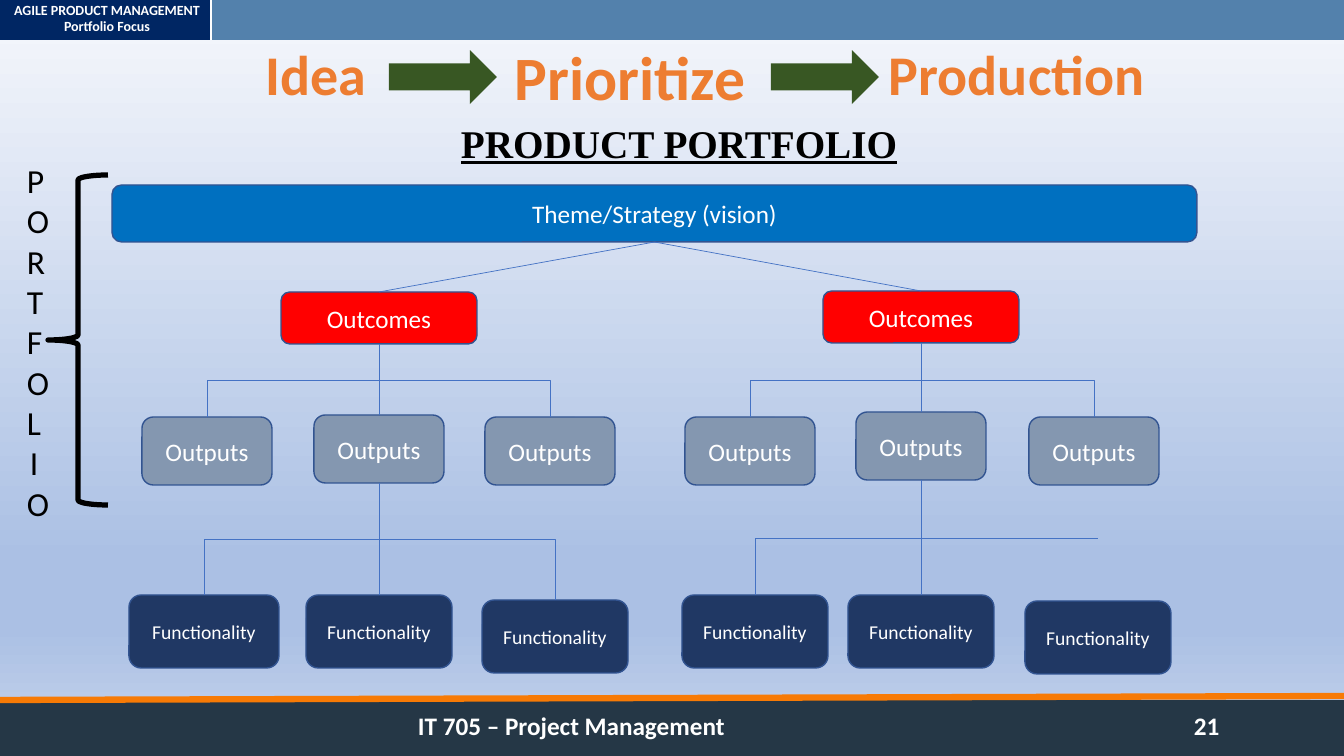
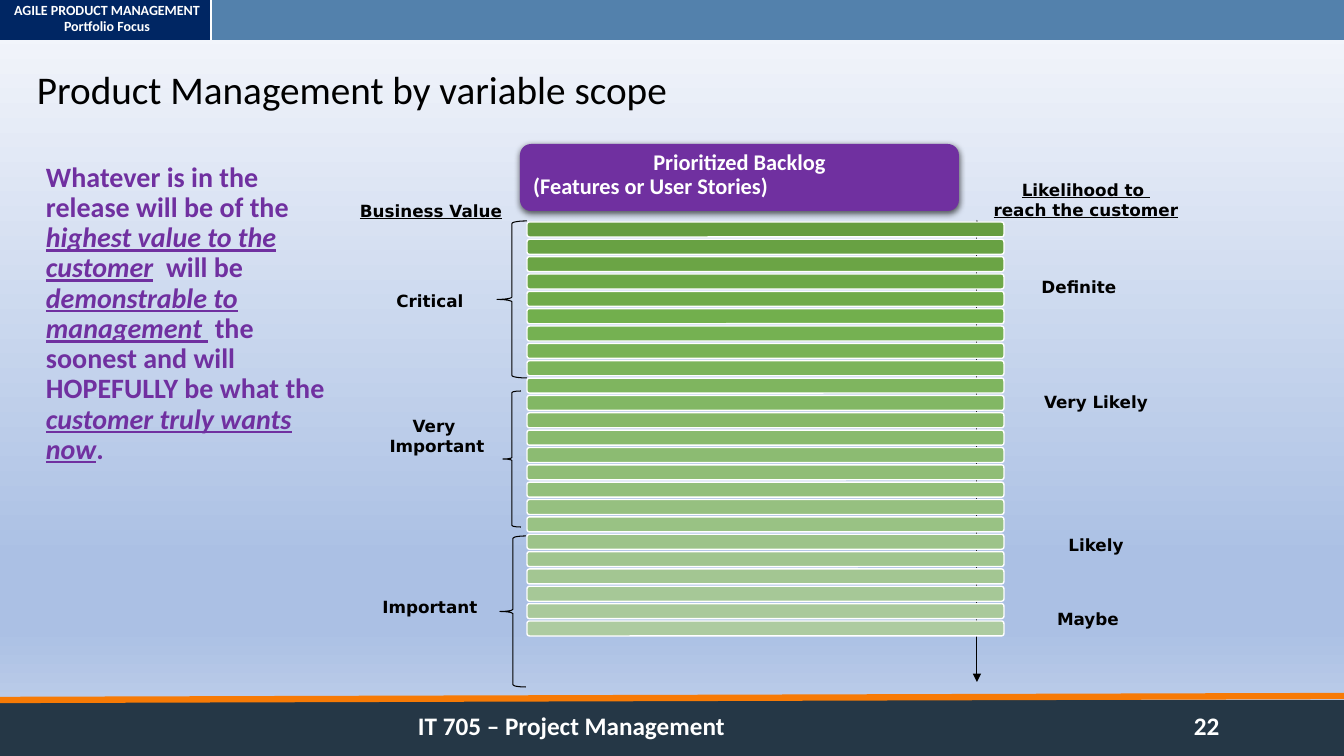
from lxml import etree
from pptx import Presentation
from pptx import util as u
from pptx.dml.color import RGBColor
from pptx.enum import shapes, text
from pptx.oxml import ns

SCALE = 914400 / 100.8
WIDTH, HEIGHT = 1344, 756
SHAPE, ALIGN, ANCHOR = shapes.MSO_SHAPE, text.PP_ALIGN, text.MSO_ANCHOR

WHITE, BLACK, ORANGE, PURPLE = "FFFFFF", "000000", "ED7D31", "7030A0"
ARROW_GREEN, NODE_EDGE, LINK_BLUE = "385723", "325491", "4472C4"
BACKGROUND = [(0, "F6F8FC"), (74, "ABC0E4"), (83, "ABC0E4"), (100, "C7D5ED")]

COURSE = "IT 705 – Project Management"
HEADER = "AGILE PRODUCT MANAGEMENT\nPortfolio Focus"

# Slide 21: label, box, size
STAGES = [
    ("Idea", (256, 11, 195, 133), 40),
    ("Prioritize", (505, 47, 273, 68), 44),
    ("Production", (879, 11, 331, 133), 40),
]
STAGE_ARROWS = [389, 771]
THEME = ("Theme/Strategy (vision)", (112, 185, 1085, 57), "0070C0", 18)
# Level: label, height, fill, size
OUTCOME = ("Outcomes", 52, "FF0000", 18)
OUTPUT = ("Outputs", 68, "8497B0", 18)
FUNCTION = ("Functionality", 73, "203864", 14)
# Each node is centre, top, width; each bus is the height of the horizontal link
BRANCHES = [
    {
        "outcome": (379, 292, 196),
        "outputs": [(207, 417, 130), (379, 415, 130), (550, 417, 130)],
        "functions": [(204, 595, 150), (379, 595, 146), (555, 600, 146)],
        "buses": (380, 539),
        "open_end": False,
    },
    {
        "outcome": (921, 291, 196),
        "outputs": [(750, 417, 130), (921, 412, 130), (1094, 417, 130)],
        "functions": [(755, 595, 146), (921, 595, 146), (1098, 601, 146)],
        "buses": (380, 538),
        "open_end": True,
    },
]

# Slide 22: lines of (text, emphasised)
PROMISE = [
    [("Whatever is in the", False)],
    [("release will be of the", False)],
    [("highest value to the", True)],
    [("customer", True), ("  will be", False)],
    [("demonstrable to", True)],
    [("management ", True),
     (" the soonest and will HOPEFULLY be what the ", False),
     ("customer truly wants now", True), (".", False)],
]
# Label, centre x, centre y, underlined
SCALE_LABELS = [
    ("Business Value", 431, 211, True),
    ("Critical", 430, 301, False),
    ("Very \vImportant", 437, 436, False),
    ("Important", 430, 607, False),
    ("Likelihood to \vreach the customer", 1086, 200, True),
    ("Definite", 1079, 287, False),
    ("Very Likely", 1096, 402, False),
    ("Likely", 1096, 545, False),
    ("Maybe", 1088, 619, False),
]
VALUE_BRACES = [(497, 221, 30, 157), (503, 391, 18, 136), (500, 536, 26, 151)]
BACKLOG_COUNT = 24
BACKLOG_STOPS = [(0, "669D40"), (5, "72AF4D"), (23, "ADCBA0")]


def px(length):
    return u.Emu(round(length * SCALE))


def color(value):
    return RGBColor.from_string(value)


def add_xml(parent, tag, **attributes):
    return etree.SubElement(parent, ns.qn(tag), attributes)


def format_runs(frame, size, fill, bold=False, underline=False,
                font="Calibri", align=ALIGN.LEFT, spacing=None):
    for paragraph in frame.paragraphs:
        paragraph.alignment = align
        if spacing:
            paragraph.line_spacing = spacing
        for run in paragraph.runs:
            run.font.name = font
            run.font.size = u.Pt(size)
            run.font.bold = bold
            run.font.underline = underline
            run.font.color.rgb = color(fill)


def set_frame(frame, anchor=ANCHOR.TOP, insets=(10, 5, 10, 5)):
    frame.word_wrap = True
    frame.auto_size = text.MSO_AUTO_SIZE.NONE
    frame.vertical_anchor = anchor
    (frame.margin_left, frame.margin_top,
     frame.margin_right, frame.margin_bottom) = map(px, insets)


def add_text(slide, words, box, size, fill, anchor=ANCHOR.TOP,
             insets=(10, 5, 10, 5), **style):
    label = slide.shapes.add_textbox(*map(px, box))
    label.text_frame.text = words
    set_frame(label.text_frame, anchor, insets)
    format_runs(label.text_frame, size, fill, **style)
    return label


def add_box(slide, kind, box, fill=None, edge=None, weight=1):
    shape = slide.shapes.add_shape(kind, *map(px, box))
    shape.shadow.inherit = False
    if fill:
        shape.fill.solid()
        shape.fill.fore_color.rgb = color(fill)
    else:
        shape.fill.background()
    if edge:
        shape.line.color.rgb = color(edge)
        shape.line.width = u.Pt(weight)
    else:
        shape.line.fill.background()
    return shape


def add_line(slide, start, end, fill, weight,
             kind=shapes.MSO_CONNECTOR.STRAIGHT):
    line = slide.shapes.add_connector(kind, *map(px, (*start, *end)))
    line.line.color.rgb = color(fill)
    line.line.width = u.Pt(weight)
    add_xml(line.element.spPr, "a:effectLst")
    return line


def set_title(slide, words, box, size, **style):
    title = slide.shapes.title
    title.left, title.top, title.width, title.height = map(px, box)
    title.text_frame.text = words
    set_frame(title.text_frame)
    format_runs(title.text_frame, size, BLACK, **style)


def build_master(master, slide):
    """Draw the bands on a slide, then hand them to the master."""
    master.background.fill.gradient()
    gradient = master.element.xpath(".//p:bgPr/a:gradFill")[0]
    for child in list(gradient):
        gradient.remove(child)
    stops = add_xml(gradient, "a:gsLst")
    for position, value in BACKGROUND:
        stop = add_xml(stops, "a:gs", pos=str(position * 1000))
        add_xml(stop, "a:srgbClr", val=value)
    add_xml(gradient, "a:lin", ang="5400000", scaled="0")

    bands = [
        add_box(slide, SHAPE.RECTANGLE, (0, 700, WIDTH, 56), "253746"),
        add_line(slide, (0, 700), (WIDTH, 696), "F77A05", 4.5),
        add_text(slide, COURSE, (408, 705, 500, 40), 18, WHITE, bold=True),
        add_box(slide, SHAPE.RECTANGLE, (0, 0, WIDTH, 40), "5381AC"),
        add_box(slide, SHAPE.RECTANGLE, (0, 0, 211, 40), "002663"),
        add_text(slide, HEADER, (12, 1, 190, 34), 10, WHITE,
                 insets=(0, 0, 0, 0), bold=True, align=ALIGN.CENTER),
        add_line(slide, (211, 0), (211, 40), WHITE, 1.5),
    ]
    for number, band in enumerate(bands, 101):
        band.element.xpath(".//p:cNvPr")[0].set("id", str(number))
        master.shapes.element.append(band.element)


def add_page_number(slide, number):
    add_text(slide, str(number), (1184, 705, 60, 40), 18, WHITE, bold=True)


def add_node(slide, label, box, fill, size):
    node = add_box(slide, SHAPE.ROUNDED_RECTANGLE, box, fill, NODE_EDGE)
    node.text_frame.text = label
    set_frame(node.text_frame, ANCHOR.MIDDLE)
    format_runs(node.text_frame, size, WHITE, align=ALIGN.CENTER)
    return node


def add_level_node(slide, level, place):
    label, height, fill, size = level
    centre, top, width = place
    return add_node(slide, label, (centre - width / 2, top, width, height),
                    fill, size)


def link(slide, parent, child):
    line = add_line(slide, (0, 0), (0, 0), LINK_BLUE, 0.5)
    line.begin_connect(parent, 2)
    line.end_connect(child, 0)


def add_elbow(slide, start, end, bus):
    """Go down to the bus, across it, and down to the end."""
    (x1, y1), (x2, y2) = start, end
    drop, run = y2 - y1, abs(x2 - x1)
    left, top = (x1 + x2 - drop) / 2, (y1 + y2 - run) / 2
    sides = (left, left + drop) if x2 < x1 else (left + drop, left)
    elbow = add_line(slide, (sides[0], top), (sides[1], top + run),
                     LINK_BLUE, 0.5, shapes.MSO_CONNECTOR.ELBOW)
    properties = elbow.element.spPr
    properties.find(ns.qn("a:xfrm")).set(
        "rot", "5400000" if x2 < x1 else "16200000")
    guides = properties.xpath("./a:prstGeom/a:avLst")[0]
    ratio = round((bus - y1) / drop * 100000)
    add_xml(guides, "a:gd", name="adj1", fmla=f"val {ratio}")


def add_branch(slide, theme, branch):
    outcome = add_level_node(slide, OUTCOME, branch["outcome"])
    outputs = [add_level_node(slide, OUTPUT, p) for p in branch["outputs"]]
    functions = [add_level_node(slide, FUNCTION, p)
                 for p in branch["functions"]]
    link(slide, theme, outcome)
    link(slide, outcome, outputs[1])
    link(slide, outputs[1], functions[1])

    centre, top, _ = branch["outcome"]
    output_bus, function_bus = branch["buses"]
    start = (centre, top + OUTCOME[1])
    for x, y, _ in branch["outputs"][::2]:
        add_elbow(slide, start, (x, y), output_bus)
    start = (centre, branch["outputs"][1][1] + OUTPUT[1])
    first, _, last = branch["functions"]
    add_elbow(slide, start, first[:2], function_bus)
    if branch["open_end"]:
        add_line(slide, (centre, function_bus), (last[0], function_bus),
                 LINK_BLUE, 0.5)
    else:
        add_elbow(slide, start, last[:2], function_bus)


def build_portfolio(slide):
    set_title(slide, "PRODUCT PORTFOLIO", (272, 114, 814, 57), 28, bold=True,
              underline=True, font="Times New Roman", align=ALIGN.CENTER)
    for words, box, size in STAGES:
        add_text(slide, words, box, size, ORANGE, ANCHOR.MIDDLE,
                 bold=True, spacing=0.9)
    for left in STAGE_ARROWS:
        add_box(slide, SHAPE.RIGHT_ARROW, (left, 50, 108, 54), ARROW_GREEN)
    theme = add_node(slide, *THEME)
    for branch in BRANCHES:
        add_branch(slide, theme, branch)
    add_box(slide, SHAPE.LEFT_BRACE, (48, 175, 60, 330), edge=BLACK, weight=3.75)
    add_text(slide, "PORTFOLIO", (17, 155, 34, 377), 24, BLACK,
             align=ALIGN.CENTER)


def backlog_color(index):
    start, end = BACKLOG_STOPS[:2] if index < 5 else BACKLOG_STOPS[1:]
    share = (index - start[0]) / (end[0] - start[0])
    pairs = zip(bytes.fromhex(start[1]), bytes.fromhex(end[1]))
    return "".join(f"{round(a + (b - a) * share):02X}" for a, b in pairs)


def add_promise(slide):
    promise = add_text(slide, "", (36, 158, 304, 489), 20, PURPLE)
    paragraph = promise.text_frame.paragraphs[0]
    emphasis = []
    for number, pieces in enumerate(PROMISE):
        if number:
            paragraph.add_line_break()
        for words, emphasised in pieces:
            paragraph.add_run().text = words
            emphasis.append(emphasised)
    format_runs(promise.text_frame, 20, PURPLE, bold=True, spacing=0.9)
    for run, emphasised in zip(paragraph.runs, emphasis):
        run.font.italic = run.font.underline = emphasised


def add_backlog_header(slide):
    header = add_box(slide, SHAPE.ROUNDED_RECTANGLE, (520, 144, 439, 67), PURPLE)
    header.text_frame.text = "Prioritized Backlog\n(Features or User Stories)"
    set_frame(header.text_frame, ANCHOR.MIDDLE, (10, 5, 10, 10))
    format_runs(header.text_frame, 16, WHITE, bold=True, spacing=0.9)
    header.text_frame.paragraphs[0].alignment = ALIGN.CENTER
    effects = header.element.spPr.find(ns.qn("a:effectLst"))
    shadow = add_xml(effects, "a:outerShdw", blurRad="57150", dist="19050",
                     dir="5400000", algn="ctr", rotWithShape="0")
    shade = add_xml(shadow, "a:srgbClr", val=BLACK)
    add_xml(shade, "a:alpha", val="63000")


def build_scope(slide):
    set_title(slide, "Product Management by variable scope",
              (27, 66, 880, 86), 28, spacing=0.9)
    add_promise(slide)
    for words, x, y, underline in SCALE_LABELS:
        add_text(slide, words, (x - 95, y - 25, 190, 50), 12, BLACK,
                 ANCHOR.MIDDLE, (0, 0, 0, 0), bold=True, underline=underline,
                 font="DejaVu Sans", align=ALIGN.CENTER)
    for box in VALUE_BRACES:
        add_box(slide, SHAPE.LEFT_BRACE, box, edge=BLACK, weight=0.75)
    likelihood = add_line(slide, (977, 220), (977, 682), BLACK, 0.75)
    for end in ("a:headEnd", "a:tailEnd"):
        add_xml(likelihood.line._get_or_add_ln(), end, type="triangle")
    for index in range(BACKLOG_COUNT):
        top = 222 + 399 * index / (BACKLOG_COUNT - 1)
        add_box(slide, SHAPE.ROUNDED_RECTANGLE, (527, top, 477, 15),
                backlog_color(index), WHITE)
    add_backlog_header(slide)


def main():
    deck = Presentation()
    deck.slide_width, deck.slide_height = px(WIDTH), px(HEIGHT)
    for number, build in enumerate((build_portfolio, build_scope), 21):
        slide = deck.slides.add_slide(deck.slide_layouts[5])
        if number == 21:
            build_master(deck.slide_master, slide)
        build(slide)
        add_page_number(slide, number)
    deck.save("out.pptx")


if __name__ == "__main__":
    main()
